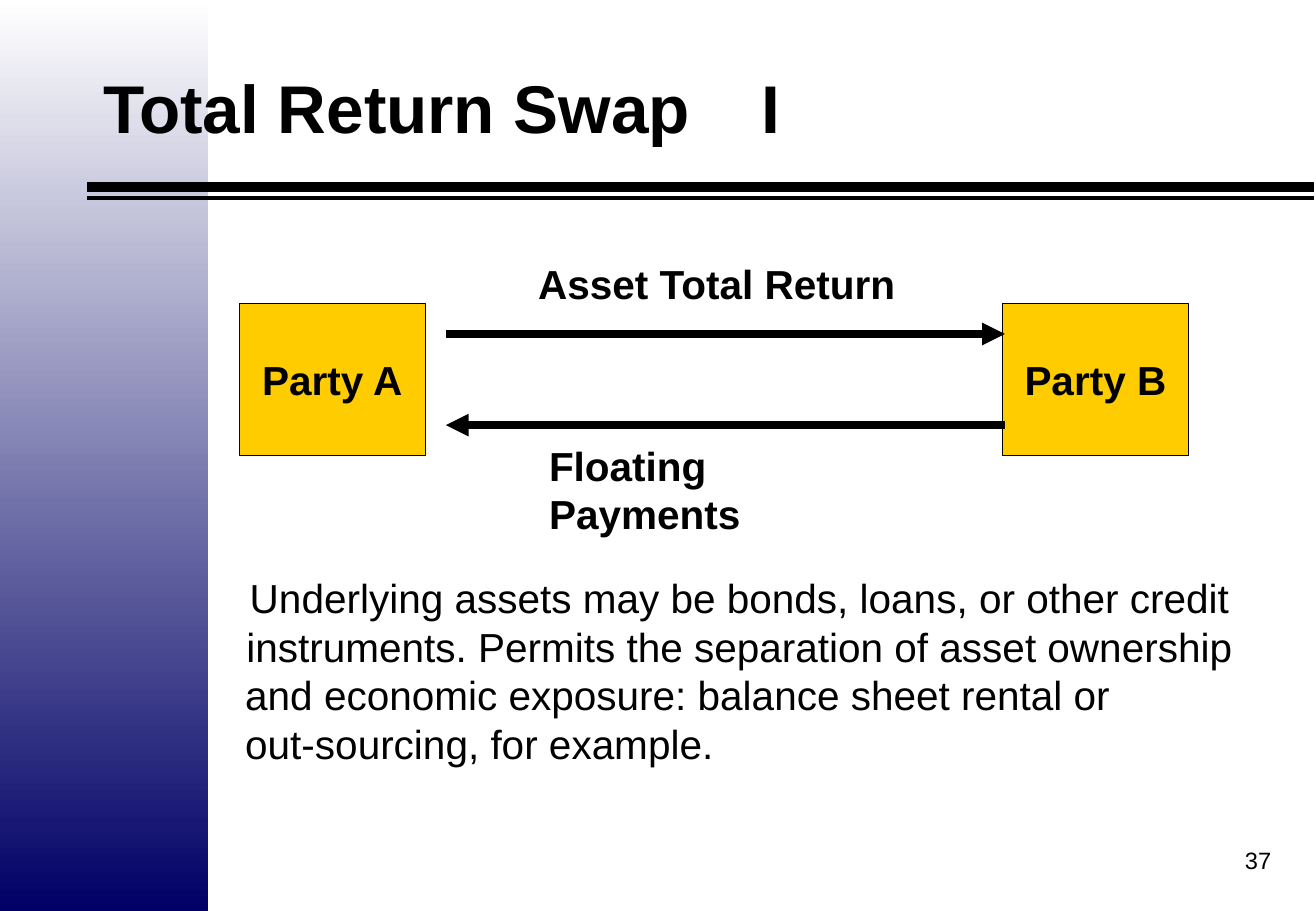
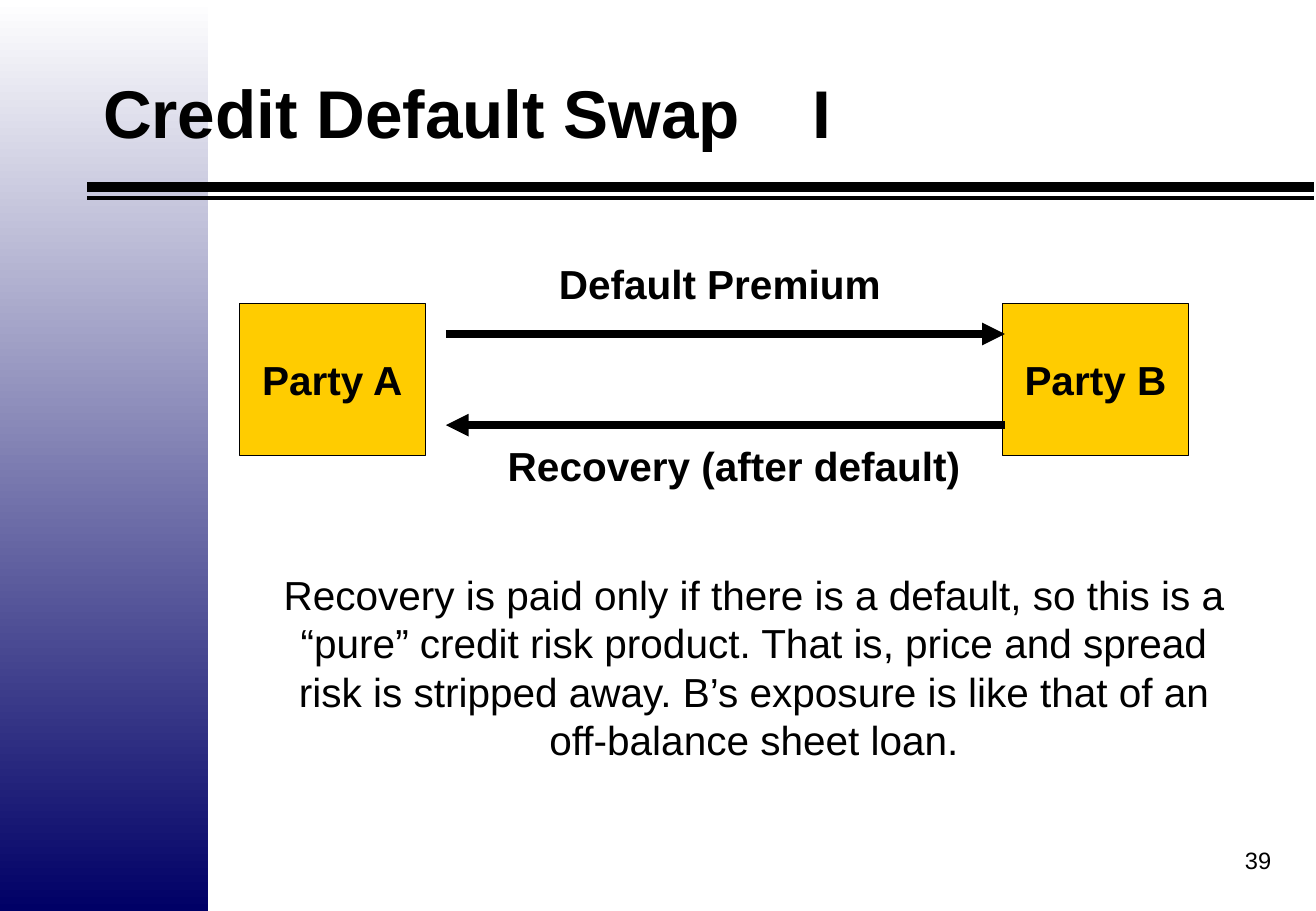
"""Build two slides on credit swaps between two parties."""
from lxml import etree
from pptx import Presentation
from pptx.dml.color import RGBColor
from pptx.enum.shapes import MSO_CONNECTOR, MSO_SHAPE
from pptx.enum.text import MSO_ANCHOR, MSO_AUTO_SIZE, PP_ALIGN
from pptx.oxml.ns import qn
from pptx.util import Inches, Pt

LEFT, CENTER, RIGHT = PP_ALIGN.LEFT, PP_ALIGN.CENTER, PP_ALIGN.RIGHT
TOP, MIDDLE = MSO_ANCHOR.TOP, MSO_ANCHOR.MIDDLE
BLACK = RGBColor(0x00, 0x00, 0x00)
WHITE = RGBColor(0xFF, 0xFF, 0xFF)
NAVY = RGBColor(0x00, 0x00, 0x66)
GOLD = RGBColor(0xFF, 0xCC, 0x00)
FONT = "Arial"
PAGE_WIDTH, PAGE_HEIGHT = 10.83, 7.5
BODY_SIZE = 24

RULES = [(1.63, 2), (1.54, 6)]
PARTIES = [("Party A", 1.97), ("Party B", 8.25)]
ARROWS = [(3.67, 8.27, 2.75), (8.27, 3.67, 3.5)]
LABEL_TOPS = [2.08, 3.58]

SLIDES = [
    {
        "title": "Total Return Swap\tI",
        "title_height": 1.25,
        "title_tab": 5.42,
        "labels": [("Asset Total Return", 4.33, 3.16),
                   ("Floating Payments", 4.42, 3.16)],
        "body_at": (1.92, 4.67, 8.33, 1.7),
        "body": [
            ("Underlying assets may be bonds, loans, or other credit "
             "instruments. Permits the separation of asset ownership", CENTER),
            ("and economic exposure: balance sheet rental or", LEFT),
            ("out-sourcing, for example.", LEFT),
        ],
        "number": "37",
    },
    {
        "title": "Credit Default Swap\tI",
        "title_height": 1.33,
        "title_tab": 5.84,
        "labels": [("Default Premium", 4.5, 2.85),
                   ("Recovery (after default)", 4.08, 3.92)],
        "body_at": (2.08, 4.64, 8.25, 1.7),
        "body": [
            ("Recovery is paid only if there is a default, so this is a "
             "“pure” credit risk product. That is, price and spread", CENTER),
            ("risk is stripped away. B’s exposure is like that of an "
             "off-balance sheet loan.", CENTER),
        ],
        "number": "39",
    },
]


def write(shape, paragraphs, size=BODY_SIZE, bold=False, anchor=TOP, wrap=True, tab=None):
    frame = shape.text_frame
    frame.word_wrap = wrap
    frame.vertical_anchor = anchor
    for index, (text, align) in enumerate(paragraphs):
        para = frame.add_paragraph() if index else frame.paragraphs[0]
        para.text = text
        para.alignment = align
        if tab:
            tabs = etree.SubElement(para._p.get_or_add_pPr(), qn("a:tabLst"))
            etree.SubElement(tabs, qn("a:tab"), pos=str(Inches(tab)), algn="l")
        font = para.font
        font.name, font.size, font.bold = FONT, Pt(size), bold
        font.color.rgb = BLACK


def add_text(page, at, paragraphs, grow=False, **style):
    box = page.shapes.add_textbox(*map(Inches, at))
    write(box, paragraphs, **style)
    if grow:
        box.text_frame.auto_size = MSO_AUTO_SIZE.SHAPE_TO_FIT_TEXT


def add_rect(page, left, top, width, height):
    rect = page.shapes.add_shape(
        MSO_SHAPE.RECTANGLE, *map(Inches, (left, top, width, height)))
    rect.shadow.inherit = False
    return rect


def add_line(page, start, end, y, width, arrow=False):
    line = page.shapes.add_connector(
        MSO_CONNECTOR.STRAIGHT, *map(Inches, (start, y, end, y)))
    line.line.color.rgb = BLACK
    line.line.width = Pt(width)
    properties = line._element.spPr
    if arrow:
        etree.SubElement(properties.find(qn("a:ln")), qn("a:tailEnd"), type="triangle")
    etree.SubElement(properties, qn("a:effectLst"))


def add_frame(page, content):
    band = add_rect(page, 0, 0, 1.71, PAGE_HEIGHT)
    band.line.fill.background()
    band.fill.gradient()
    band.fill.gradient_angle = 270
    for stop, color in zip(band.fill.gradient_stops, (WHITE, NAVY)):
        stop.color.rgb = color
    for y, width in RULES:
        add_line(page, 0.72, 10.81, y, width)
    add_text(page, (0.75, 0.25, 7.22, content["title_height"]),
             [(content["title"], LEFT)], size=40, bold=True,
             anchor=MIDDLE, tab=content["title_tab"])
    add_text(page, (8.3, 6.83, 2.26, 0.5), [(content["number"], RIGHT)],
             size=14, anchor=MIDDLE)


def add_swap(page, labels):
    for name, left in PARTIES:
        party = add_rect(page, left, 2.5, 1.53, 1.25)
        party.fill.solid()
        party.fill.fore_color.rgb = GOLD
        party.line.color.rgb = BLACK
        party.line.width = Pt(0.75)
        write(party, [(name, CENTER)], bold=True, anchor=MIDDLE, wrap=False)
    for start, end, y in ARROWS:
        add_line(page, start, end, y, 4.5, arrow=True)
    for (text, left, width), top in zip(labels, LABEL_TOPS):
        add_text(page, (left, top, width, 0.5), [(text, LEFT)],
                 grow=True, bold=True, wrap=False)


def main():
    deck = Presentation()
    deck.slide_width, deck.slide_height = Inches(PAGE_WIDTH), Inches(PAGE_HEIGHT)
    for content in SLIDES:
        page = deck.slides.add_slide(deck.slide_layouts[6])
        add_frame(page, content)
        add_swap(page, content["labels"])
        add_text(page, content["body_at"], content["body"], grow=True)
    deck.save("out.pptx")


if __name__ == "__main__":
    main()
